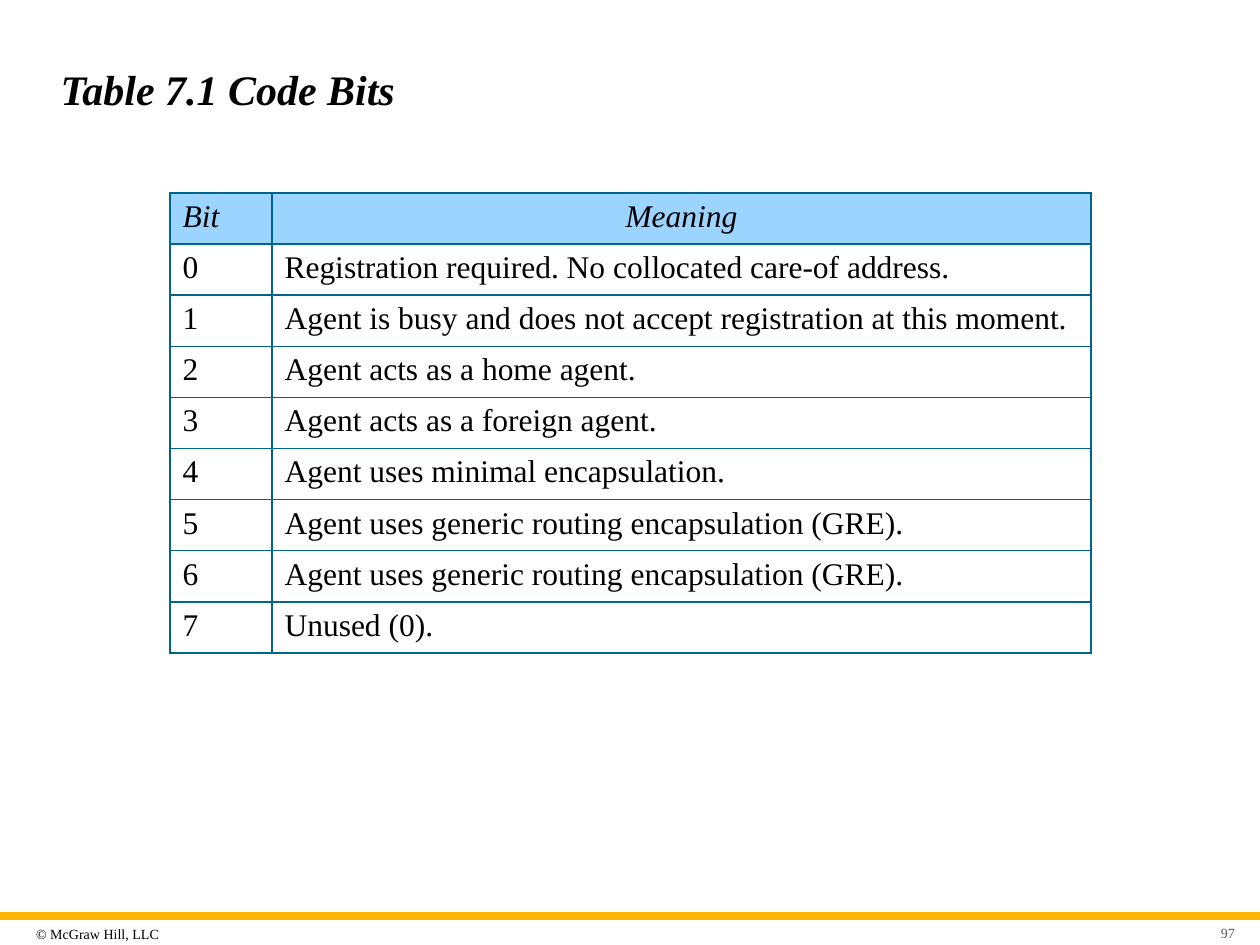
from dataclasses import dataclass

from lxml import etree
from pptx import Presentation
from pptx.dml.color import RGBColor
from pptx.enum.shapes import MSO_SHAPE
from pptx.enum.text import MSO_ANCHOR, PP_ALIGN
from pptx.oxml.ns import qn
from pptx.util import Emu, Pt

LEFT, CENTER, RIGHT = PP_ALIGN.LEFT, PP_ALIGN.CENTER, PP_ALIGN.RIGHT
MIDDLE = MSO_ANCHOR.MIDDLE
RECTANGLE = MSO_SHAPE.RECTANGLE
TITLE_ONLY = 5
EMU_PER_PX = 914400 / 126

ROWS = [
    ("Bit", "Meaning"),
    ("0", "Registration required. No collocated care-of address."),
    ("1", "Agent is busy and does not accept registration at this moment."),
    ("2", "Agent acts as a home agent."),
    ("3", "Agent acts as a foreign agent."),
    ("4", "Agent uses minimal encapsulation."),
    ("5", "Agent uses generic routing encapsulation (GRE)."),
    ("6", "Agent uses generic routing encapsulation (GRE)."),
    ("7", "Unused (0)."),
]


@dataclass(frozen=True)
class Theme:
    """Colours, font and type sizes of the slide."""
    font: str = "Times New Roman"
    text: str = "000000"
    muted: str = "595959"
    accent: str = "FFB600"
    border: str = "00648B"
    header: str = "9BD4FF"
    paper: str = "FFFFFF"
    title_size: int = 24
    table_size: int = 18
    footer_size: int = 8


THEME = Theme()


def px(length):
    """Turn px into EMU."""
    return Emu(round(length * EMU_PER_PX))


def write(frame, text, size, color=THEME.text, align=LEFT, bold=False, italic=False):
    """Put one formatted line into a text frame."""
    frame.text = text
    paragraph = frame.paragraphs[0]
    paragraph.alignment = align
    font = paragraph.runs[0].font
    font.name, font.size = THEME.font, Pt(size)
    font.bold, font.italic = bold, italic
    font.color.rgb = RGBColor.from_string(color)


def set_insets(frame, left, top, right, bottom):
    """Set the inner margins of a text frame in px."""
    frame.margin_left, frame.margin_top = px(left), px(top)
    frame.margin_right, frame.margin_bottom = px(right), px(bottom)


def add_title(slide, left, top, width, height):
    """Place the slide title."""
    title = slide.shapes.title
    title.left, title.top = px(left), px(top)
    title.width, title.height = px(width), px(height)
    title.text_frame.vertical_anchor = MIDDLE
    write(title.text_frame, "Table 7.1 Code Bits", THEME.title_size, bold=True, italic=True)


def add_borders(cell):
    """Draw a thin line on each side of a cell."""
    properties = cell._tc.get_or_add_tcPr()
    for side in ("a:lnL", "a:lnR", "a:lnT", "a:lnB"):
        line = etree.SubElement(properties, qn(side), w=str(Pt(1)))
        fill = etree.SubElement(line, qn("a:solidFill"))
        etree.SubElement(fill, qn("a:srgbClr"), val=THEME.border)


def add_code_table(slide, left, top, width, height, bit_width):
    """Place the table of code bits."""
    frame = slide.shapes.add_table(
        len(ROWS), len(ROWS[0]), px(left), px(top), px(width), px(height))
    table = frame.table
    table.first_row = table.horz_banding = False
    for column, column_width in zip(table.columns, (bit_width, width - bit_width)):
        column.width = px(column_width)
    for row_index, values in enumerate(ROWS):
        is_header = row_index == 0
        for column_index, value in enumerate(values):
            cell = table.cell(row_index, column_index)
            align = CENTER if is_header and column_index == 1 else LEFT
            write(cell.text_frame, value, THEME.table_size, align=align, italic=is_header)
            add_borders(cell)
            cell.fill.solid()
            cell.fill.fore_color.rgb = RGBColor.from_string(
                THEME.header if is_header else THEME.paper)


def add_footer(slide, left, top, width, bar_height):
    """Place the accent bar with the copyright line and page number below."""
    bar = slide.shapes.add_shape(RECTANGLE, px(left), px(top), px(width), px(bar_height))
    bar.shadow.inherit = False
    bar.fill.solid()
    bar.fill.fore_color.rgb = RGBColor.from_string(THEME.accent)
    bar.line.fill.background()
    notes = (
        ("© McGraw Hill, LLC", 30, 7, 170, 30, 6, THEME.text, LEFT),
        ("97", 1192, 9, 49, 23, 13, THEME.muted, RIGHT),
    )
    for text, x, y, note_width, note_height, inset, color, align in notes:
        box = slide.shapes.add_textbox(
            px(left + x), px(top + y), px(note_width), px(note_height))
        frame = box.text_frame
        frame.word_wrap = True
        frame.vertical_anchor = MIDDLE
        set_insets(frame, inset, 6, 6, 6)
        write(frame, text, THEME.footer_size, color, align)


def main():
    """Build and save the slide."""
    presentation = Presentation()
    presentation.slide_width, presentation.slide_height = px(1260), px(945)
    slide = presentation.slides.add_slide(presentation.slide_layouts[TITLE_ONLY])
    add_footer(slide, 0, 912, 1260, 8)
    add_title(slide, 48, 42, 1165, 93)
    add_code_table(slide, 170, 193, 921, 460, bit_width=102)
    presentation.save("out.pptx")


if __name__ == "__main__":
    main()
